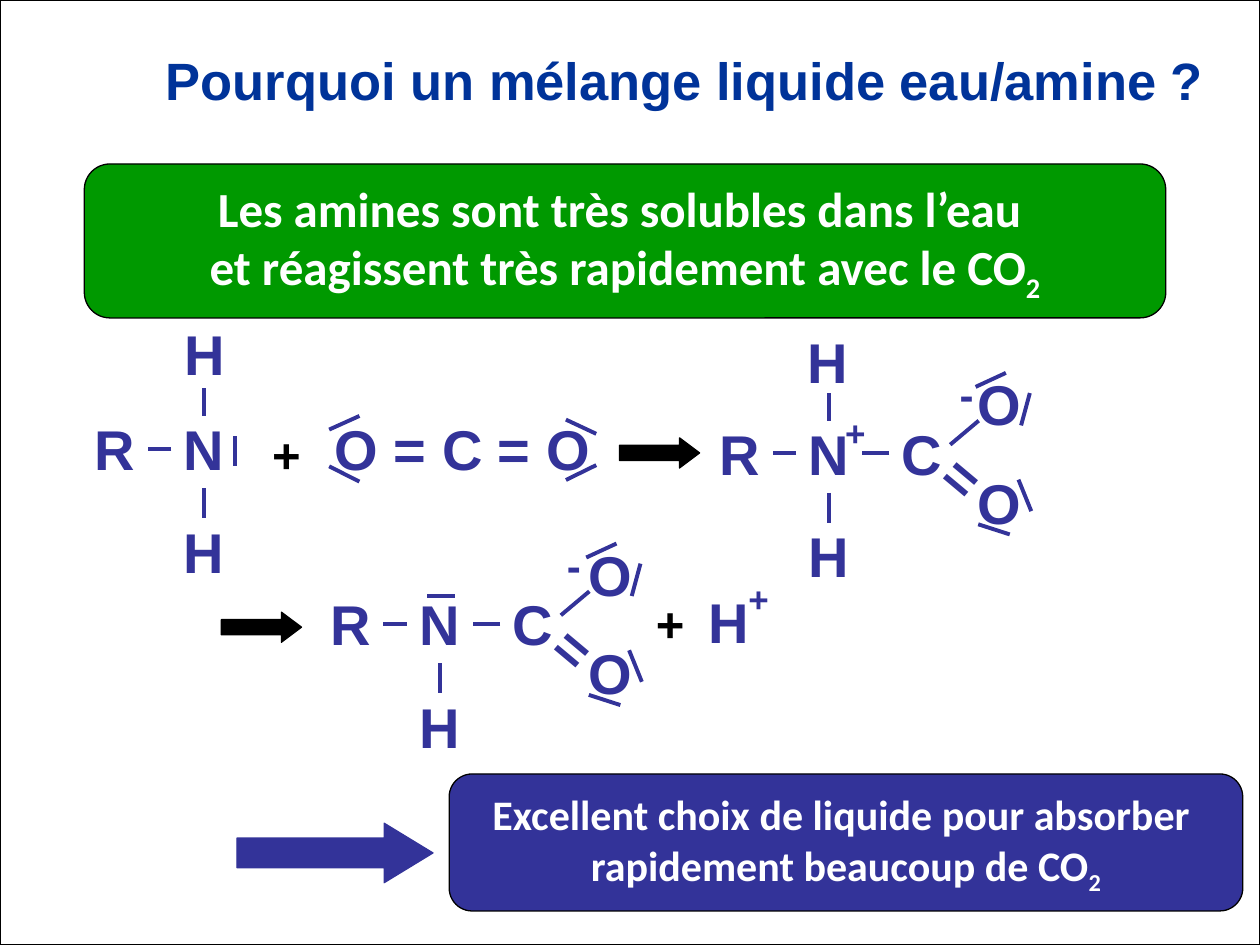
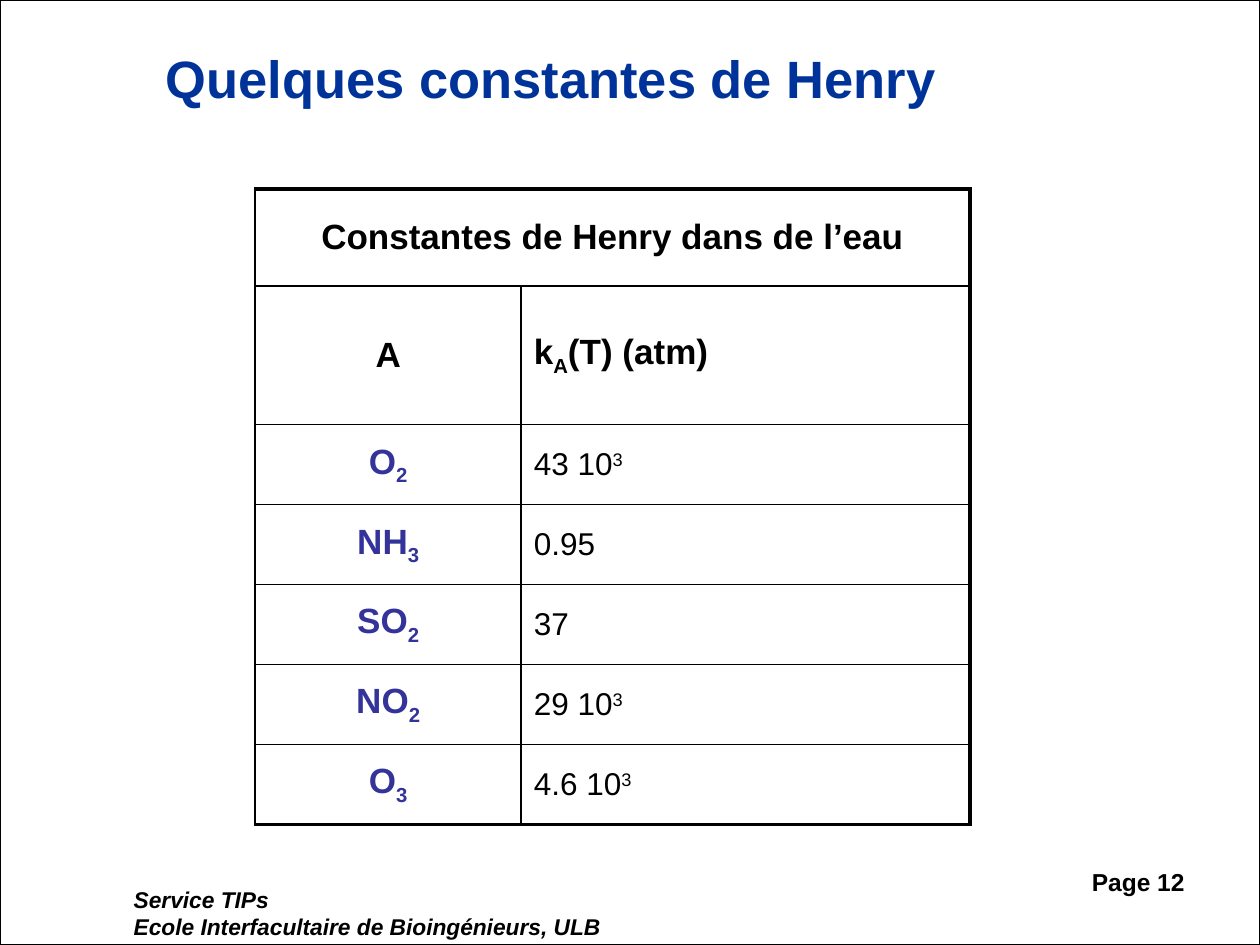
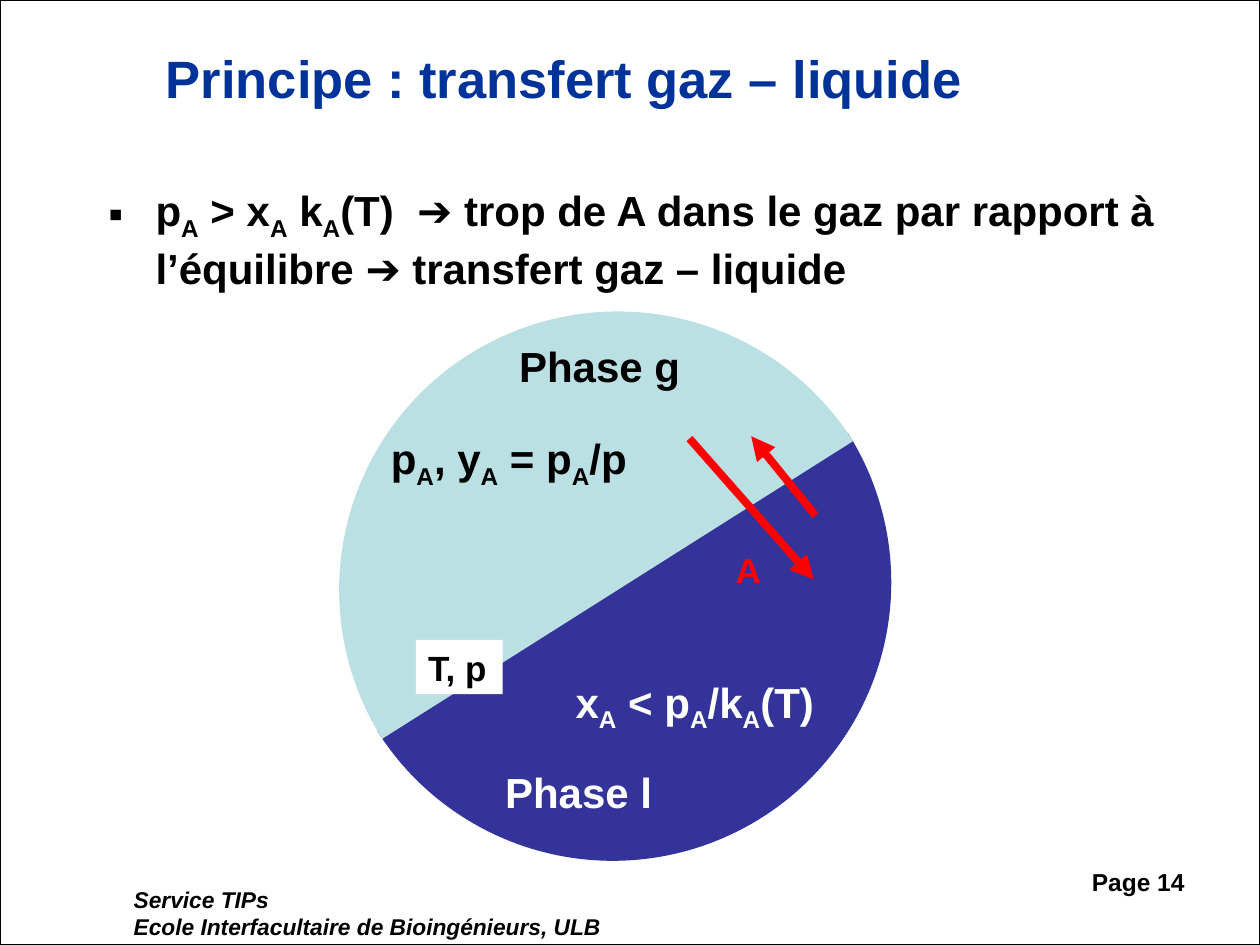
from lxml import etree
from pptx import Presentation
from pptx.dml.color import RGBColor
from pptx.enum.shapes import MSO_CONNECTOR, MSO_SHAPE
from pptx.enum.text import MSO_ANCHOR, MSO_AUTO_SIZE, PP_ALIGN
from pptx.oxml.ns import qn
from pptx.util import Pt

LEFT, MID, RIGHT = PP_ALIGN.LEFT, PP_ALIGN.CENTER, PP_ALIGN.RIGHT
TOP, MIDDLE = MSO_ANCHOR.TOP, MSO_ANCHOR.MIDDLE
GROW = MSO_AUTO_SIZE.SHAPE_TO_FIT_TEXT
RECT, ROUND = MSO_SHAPE.RECTANGLE, MSO_SHAPE.ROUNDED_RECTANGLE
ARROW, CHORD = MSO_SHAPE.RIGHT_ARROW, MSO_SHAPE.CHORD
STRAIGHT = MSO_CONNECTOR.STRAIGHT

HEX = {
    "white": "FFFFFF",
    "black": "000000",
    "title": "003399",
    "blue": "333399",
    "green": "009900",
    "gas": "BBE0E3",
    "red": "FF0000",
}
WIDE, HIGH = 720, 540
LOW, UP = -25, 30
ATOM = 37.5, 45


def color(name):
    return RGBColor.from_string(HEX[name])


def write(par, text, size, ink="black", bold=True, italic=False,
          face="Arial", align=LEFT, shift=LOW):
    """Add text run by run; parts between underscores are shifted."""
    par.alignment = align
    for i, part in enumerate(text.split("_")):
        if not part:
            continue
        run = par.add_run()
        run.text = part
        font = run.font
        font.name, font.size = face, Pt(size)
        font.bold, font.italic = bold, italic
        font.color.rgb = color(ink)
        if i % 2:
            run._r.get_or_add_rPr().set("baseline", str(shift * 1000))


def fill(frame, lines, size, anchor=TOP, wrap=False, **style):
    frame.word_wrap = wrap
    frame.vertical_anchor = anchor
    for i, line in enumerate(lines):
        par = frame.add_paragraph() if i else frame.paragraphs[0]
        write(par, line, size, **style)


def label(slide, text, x, y, w, h, size, **style):
    """Add a text box that hugs its one line of text."""
    box = slide.shapes.add_textbox(Pt(x), Pt(y), Pt(w), Pt(h))
    fill(box.text_frame, [text], size, **style)
    box.text_frame.auto_size = GROW
    return box


def block(slide, kind, x, y, w, h, tint, edge=None, adjust=()):
    shape = slide.shapes.add_shape(kind, Pt(x), Pt(y), Pt(w), Pt(h))
    shape.shadow.inherit = False
    shape.fill.solid()
    shape.fill.fore_color.rgb = color(tint)
    if edge:
        shape.line.color.rgb = color(edge)
        shape.line.width = Pt(0.75)
    else:
        shape.line.fill.background()
    for i, value in enumerate(adjust):
        shape.adjustments[i] = value
    return shape


def stroke(slide, x1, y1, x2, y2, ink="blue", width=2.25, head=False):
    line = slide.shapes.add_connector(STRAIGHT, Pt(x1), Pt(y1), Pt(x2), Pt(y2))
    line.line.color.rgb = color(ink)
    line.line.width = Pt(width)
    if head:
        end = etree.SubElement(line.line._get_or_add_ln(), qn("a:tailEnd"))
        end.set("type", "triangle")
    etree.SubElement(line._element.spPr, qn("a:effectLst"))


def border_all(deck, slide):
    """Move a page frame from the slide to the master, for all slides."""
    frame = block(slide, RECT, 0, 0, WIDE, HIGH, "white", "black")._element
    frame.nvSpPr.cNvPr.set("id", "99")
    deck.slide_master.shapes._spTree.insert(2, frame)


def start(deck, title, top=0):
    """Add a slide with its title."""
    slide = deck.slides.add_slide(deck.slide_layouts[6])
    box = slide.shapes.add_textbox(Pt(87.8), Pt(top), Pt(632), Pt(88.5))
    fill(box.text_frame, [title], 30, MIDDLE, True, ink="title")
    return slide


def footer(slide, page):
    box = slide.shapes.add_textbox(Pt(48.4), Pt(502.5), Pt(444), Pt(30))
    box.text_frame.margin_left = Pt(28)
    fill(box.text_frame,
         ["Service TIPs", "Ecole Interfacultaire de Bioingénieurs, ULB"],
         13, wrap=True, italic=True)
    box = slide.shapes.add_textbox(Pt(516), Pt(492), Pt(168), Pt(37.5))
    fill(box.text_frame, [f"Page {page}"], 14, wrap=True, align=RIGHT)


# Chemistry: x, y is the top left of the leftmost atom of the molecule

def atoms(slide, x, y, places):
    for name, dx, dy in places:
        label(slide, name, x + dx, y + dy, *ATOM, 32, ink="blue")


def bonds(slide, x, y, lines):
    for x1, y1, x2, y2 in lines:
        stroke(slide, x + x1, y + y1, x + x2, y + y2)


def amine(slide, x, y):
    """Draw R - N with one H below."""
    atoms(slide, x, y, [("R", 0, 0), ("N", 51, 0), ("H", 51, 58.5)])
    bonds(slide, x, y, [(51, 23, 37.5, 23), (69.7, 45.5, 69.7, 62.5)])


def crown(slide, x, y, dx, dy):
    """Draw the H above the N of an amine."""
    atoms(slide, x, y, [("H", dx, dy)])
    bonds(slide, x, y, [(69.7, -11.5, 69.7, 4.5)])


def acid(slide, x, y, sign):
    """Draw the carbon group bound to an amine, its minus sign at sign."""
    atoms(slide, x, y, [("C", 104.3, 0), ("O", 147.6, -28.3), ("O", 147.6, 28)])
    twin = label(slide, "=", x + 130.5, y + 14, 33, 45, 32, ink="blue")
    twin.rotation = 40
    label(slide, "-", x + sign, y - 29, 22.5, 36.5, 24, ink="blue")
    bonds(slide, x, y, [
        (104.3, 23, 88.5, 23), (139, 18, 155.3, 4.3),
        (178, 38, 185.3, 56), (155, 63.5, 173, 69.3),
        (153.5, -15, 170.8, -23), (179.5, 7, 184.5, -11.5),
    ])


def oxide(slide, x, y):
    """Draw O = C = O with its free pairs."""
    label(slide, "O = C = O", x, y, 160.5, 45, 32, ink="blue")
    bonds(slide, x, y, [
        (3.9, 33, 21.2, 41.7), (3.9, 12, 21.2, 4.2),
        (139.2, 6.3, 156.5, 14.4), (139.2, 40.8, 156.5, 32.3),
    ])


def charge(slide, x, y):
    label(slide, "+", x, y, 26, 31, 20, ink="blue")


def plus(slide, x, y):
    label(slide, "+", x, y, 31, 41, 28)


def yields(slide, x, y):
    block(slide, ARROW, x, y, 45.8, 17.2, "black", "black", (0.5, 0.667))


def banner(slide, lines, x, y, w, h, size, tint):
    shape = block(slide, ROUND, x, y, w, h, tint, "black", (0.167,))
    fill(shape.text_frame, lines, size, MIDDLE, ink="white",
         face="Calibri", align=MID)


def mixture(deck):
    slide = start(deck, "Pourquoi un mélange liquide eau/amine ?", 1.5)
    border_all(deck, slide)
    banner(slide, ["Les amines sont très solubles dans l’eau ",
                   "et réagissent très rapidement avec le CO_2_"],
           48.2, 93.7, 618, 88, 28, "green")

    x, y = 47, 233.5
    amine(slide, x, y)
    crown(slide, x, y, 51.6, -54.2)
    bonds(slide, x, y, [(87.2, 15.8, 87.2, 33)])
    plus(slide, 148.5, 239)
    oxide(slide, 184.2, y)
    yields(slide, 354, 250.2)

    x, y = 404, 236.1
    amine(slide, x, y)
    crown(slide, x, y, 50.5, -52.4)
    charge(slide, x + 71.8, y - 4.3)
    acid(slide, x, y, 137.3)

    x, y = 181.5, 333.6
    yields(slide, 126.5, 349.8)
    amine(slide, x, y)
    bonds(slide, x, y, [(78.5, 7, 62.5, 7)])
    acid(slide, x, y, 135.3)
    plus(slide, 367.8, 335.5)
    atoms(slide, 397.5, 332, [("H", 0, 0)])
    charge(slide, 420.5, 326.2)

    block(slide, ARROW, 135.4, 470.4, 112, 34, "blue", "blue", (0.5, 0.82))
    banner(slide, ["Excellent choix de liquide pour absorber ",
                   "rapidement beaucoup de CO_2_"],
           256.7, 442.3, 453.5, 78.3, 24, "blue")


def border(cell, **widths):
    props = cell._tc.get_or_add_tcPr()
    for side in "LRTB":
        line = etree.SubElement(props, qn(f"a:ln{side}"))
        line.set("w", str(Pt(widths.get(side, 1))))
        solid = etree.SubElement(line, qn("a:solidFill"))
        etree.SubElement(solid, qn("a:srgbClr")).set("val", HEX["black"])


def grid(slide, x, y, rows):
    cols = [152, 256.5]
    highs = [55.4, 79.3] + [45.7] * (len(rows) - 2)
    table = slide.shapes.add_table(
        len(rows), len(cols), Pt(x), Pt(y), Pt(sum(cols)), Pt(sum(highs))).table
    table.first_row = table.horz_banding = False
    for col, wide in zip(table.columns, cols):
        col.width = Pt(wide)
    table.cell(0, 0).merge(table.cell(0, 1))
    last = len(rows) - 1
    for r, texts in enumerate(rows):
        table.rows[r].height = Pt(highs[r])
        for c in range(len(cols)):
            cell = table.cell(r, c)
            border(cell, T=1 if r else 2.25, B=2.25 if r == last else 1,
                   R=2.25 if c or not r else 1)
            cell.fill.background()
            cell.vertical_anchor = MIDDLE
            if c >= len(texts):
                continue
            par = cell.text_frame.paragraphs[0]
            if c == 0:
                par.space_before = Pt(4)
                write(par, texts[c], 20, "blue" if r > 1 else "black",
                      align=MID)
            elif r == 1:
                write(par, texts[c], 20)
            else:
                write(par, texts[c], 18, bold=False, shift=UP)


def henry(deck):
    slide = start(deck, "Quelques constantes de Henry")
    footer(slide, 12)
    grid(slide, 145.8, 108, [
        ["Constantes de Henry dans de l’eau"],
        ["A", "k_A_(T) (atm)"],
        ["O_2_", "43 10_3_"],
        ["NH_3_", "0.95"],
        ["SO_2_", "37"],
        ["NO_2_", "29 10_3_"],
        ["O_3_", "4.6 10_3_"],
    ])


def half(slide, x, y, size, first, last, tint):
    """Draw a half disc clockwise between two angles in degrees."""
    block(slide, CHORD, x, y, size, size, tint,
          adjust=[angle * 0.6 for angle in (first, last)])


def bullet(slide, text, x, y, w, h):
    box = slide.shapes.add_textbox(Pt(x), Pt(y), Pt(w), Pt(h))
    fill(box.text_frame, [text], 24, wrap=True)
    par = box.text_frame.paragraphs[0]
    par.space_before = Pt(5)
    props = par._p.get_or_add_pPr()
    props.set("marL", str(Pt(27)))
    props.set("indent", str(Pt(-27)))
    etree.SubElement(props, qn("a:buFont")).set("typeface", "Arial")
    etree.SubElement(props, qn("a:buChar")).set("char", "▪")


def disc(slide, x, y):
    """Draw the two phases and what passes between them."""
    half(slide, x, y - 0.4, 318.3, 327.7, 147.7, "blue")
    half(slide, x + 2.8, y + 4, 318.3, 147.7, 327.7, "gas")
    label(slide, "Phase l", x + 90.5, y + 260.5, 98.5, 36, 24, ink="white")
    label(slide, "Phase g", x + 98.5, y + 17.3, 106.5, 36, 24)
    label(slide, "p_A_, y_A_ = p_A_/p", x + 23, y + 69.6, 153.5, 36, 24,
          align=MID)
    label(slide, "x_A_ < p_A_/k_A_(T)", x + 128, y + 208.8, 156, 36, 24,
          ink="white", align=MID)
    for ends in [(203, 76.6, 274, 157.2), (275, 120.6, 238.3, 75.3)]:
        x1, y1, x2, y2 = ends
        stroke(slide, x + x1, y + y1, x + x2, y + y2, "red", 4.5, True)
    label(slide, "A", x + 222.3, y + 136, 29, 31, 20, ink="red")
    tag = block(slide, RECT, x + 46.6, y + 191.7, 49.7, 31, "white")
    fill(tag.text_frame, ["T, p"], 20)


def transfer(deck):
    slide = start(deck, "Principe : transfert gaz – liquide")
    footer(slide, 14)
    bullet(slide, "p_A_ > x_A_ k_A_(T)  ➔ trop de A dans le gaz par rapport "
           "à l’équilibre ➔ transfert gaz – liquide", 54.8, 102.2, 647.3, 417.6)
    disc(slide, 191, 174)


def main():
    deck = Presentation()
    deck.slide_width, deck.slide_height = Pt(WIDE), Pt(HIGH)
    mixture(deck)
    henry(deck)
    transfer(deck)
    deck.save("out.pptx")


if __name__ == "__main__":
    main()
